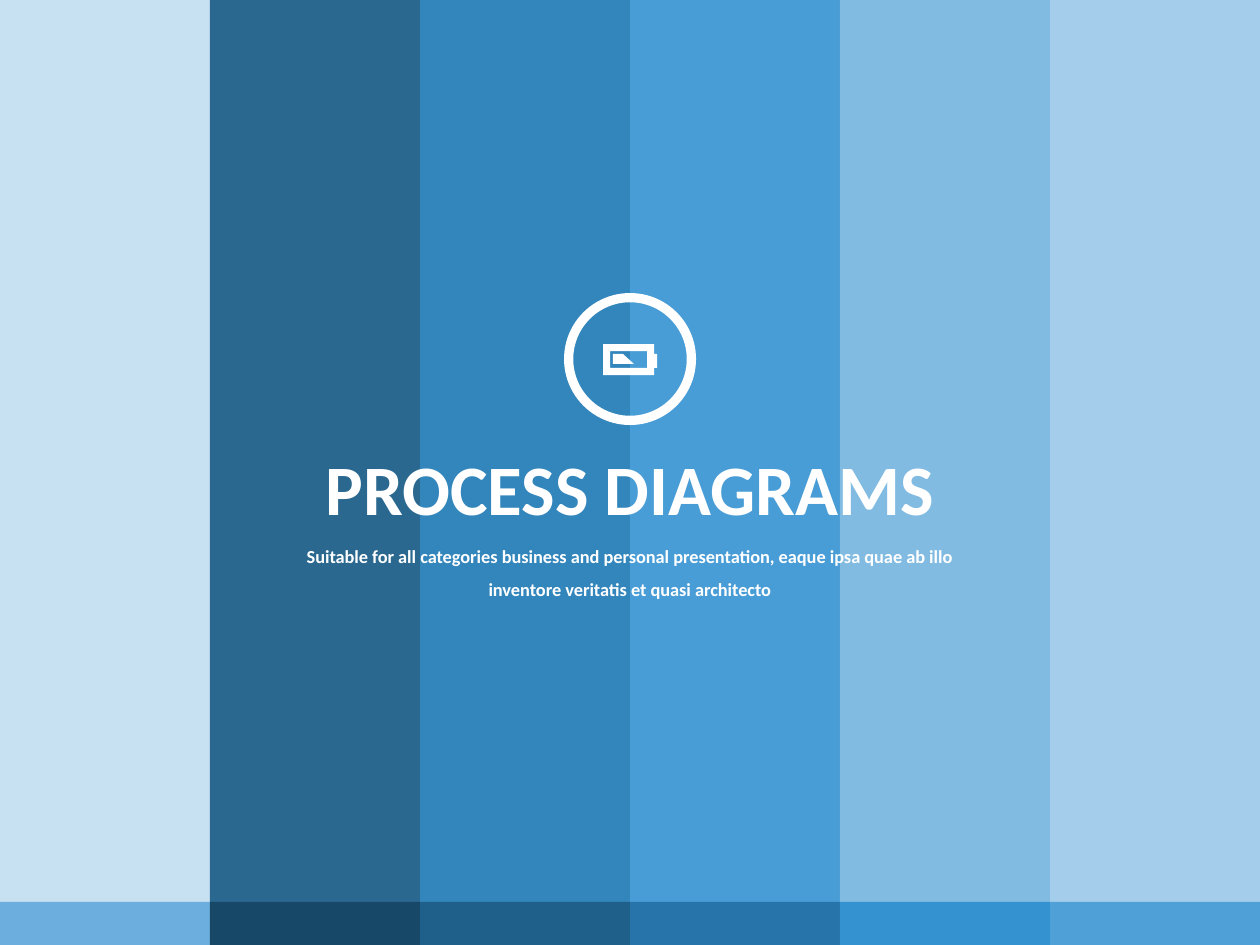
"""Build a section slide of blue stripes with a battery badge and a title."""
from typing import NamedTuple

from lxml import etree
from pptx import Presentation
from pptx.dml.color import RGBColor
from pptx.enum.shapes import MSO_SHAPE
from pptx.enum.text import MSO_AUTO_SIZE, PP_ALIGN
from pptx.oxml.ns import qn
from pptx.util import Pt

RECT = MSO_SHAPE.RECTANGLE
RING = MSO_SHAPE.DONUT
CENTER = PP_ALIGN.CENTER
GROW = MSO_AUTO_SIZE.SHAPE_TO_FIT_TEXT

SCALE = 914400 / 126
WIDE, HIGH = 1260, 945
STEP = 210
FOOT = 902
FONT = "Calibri"
WHITE = RGBColor(0xFF, 0xFF, 0xFF)


class Stripe(NamedTuple):
    body: RGBColor
    foot: RGBColor


STRIPES = [
    Stripe(RGBColor(0xC6, 0xE0, 0xF2), RGBColor(0x6C, 0xAF, 0xDE)),
    Stripe(RGBColor(0x1F, 0x60, 0x8B), RGBColor(0x17, 0x48, 0x68)),
    Stripe(RGBColor(0x29, 0x80, 0xB9), RGBColor(0x1F, 0x60, 0x8B)),
    Stripe(RGBColor(0x40, 0x98, 0xD4), RGBColor(0x26, 0x74, 0xA9)),
    Stripe(RGBColor(0x7B, 0xB8, 0xE1), RGBColor(0x34, 0x92, 0xD1)),
    Stripe(RGBColor(0x9F, 0xCB, 0xE9), RGBColor(0x4F, 0xA0, 0xD7)),
]

CASE = [(654, 354), (654, 344), (603, 344), (603, 375),
        (654, 375), (654, 368), (657, 368), (657, 354)]
HOLE = [(647, 368), (610, 368), (610, 351), (647, 351)]
LEVEL = [(623, 354), (613, 354), (613, 364), (634, 364)]


def px(size: int) -> int:
    """Turn pixels into EMU."""
    return round(size * SCALE)


def paint(shape, color: RGBColor, alpha: int = 100) -> None:
    """Give a shape a plain fill, with no line or shadow."""
    shape.shadow.inherit = False
    shape.line.fill.background()
    shape.fill.solid()
    shape.fill.fore_color.rgb = color
    if alpha < 100:
        tint = shape.fill._xPr.find(".//" + qn("a:srgbClr"))
        etree.SubElement(tint, qn("a:alpha")).set("val", str(alpha * 1000))


def preset(slide, kind, box: tuple, color: RGBColor, alpha: int = 100):
    """Draw a filled preset shape."""
    shape = slide.shapes.add_shape(kind, *map(px, box))
    paint(shape, color, alpha)
    return shape


def outline(slide, *loops: list) -> None:
    """Draw a white shape from closed loops of points."""
    pen = slide.shapes.build_freeform(*loops[0][0], scale=SCALE)
    pen.add_line_segments(loops[0][1:], close=True)
    for loop in loops[1:]:
        pen.move_to(*loop[0])
        pen.add_line_segments(loop[1:], close=True)
    paint(pen.convert_to_shape(), WHITE)


def write(slide, text: str, box: tuple, *, size: float,
          wrap: bool = True, space: float = 1.0) -> None:
    """Add a centred bold white text box."""
    frame = slide.shapes.add_textbox(*map(px, box)).text_frame
    frame.word_wrap = wrap
    frame.auto_size = GROW
    para = frame.paragraphs[0]
    para.alignment = CENTER
    para.line_spacing = space
    run = para.add_run()
    run.text = text
    run.font.name = FONT
    run.font.size = Pt(size)
    run.font.bold = True
    run.font.color.rgb = WHITE


def main() -> None:
    """Build and save the slide."""
    deck = Presentation()
    deck.slide_width, deck.slide_height = px(WIDE), px(HIGH)
    slide = deck.slides.add_slide(deck.slide_layouts[6])

    for i, stripe in enumerate(STRIPES):
        preset(slide, RECT, (i * STEP, 0, STEP, FOOT), stripe.body, 95)
    for i, stripe in enumerate(STRIPES):
        preset(slide, RECT, (i * STEP, FOOT, STEP, HIGH - FOOT), stripe.foot)

    write(slide, "PROCESS DIAGRAMS", (311, 438, 638, 98), size=40.5, wrap=False)
    write(slide, "Suitable for all categories business and personal presentation, "
          "eaque ipsa quae ab illo inventore veritatis et quasi architecto",
          (276, 528, 708, 79), size=10.5, space=1.5)

    ring = preset(slide, RING, (564, 293, 132, 132), WHITE)
    ring.adjustments[0] = 0.07
    outline(slide, CASE, HOLE)
    outline(slide, LEVEL)

    deck.save("out.pptx")


if __name__ == "__main__":
    main()
